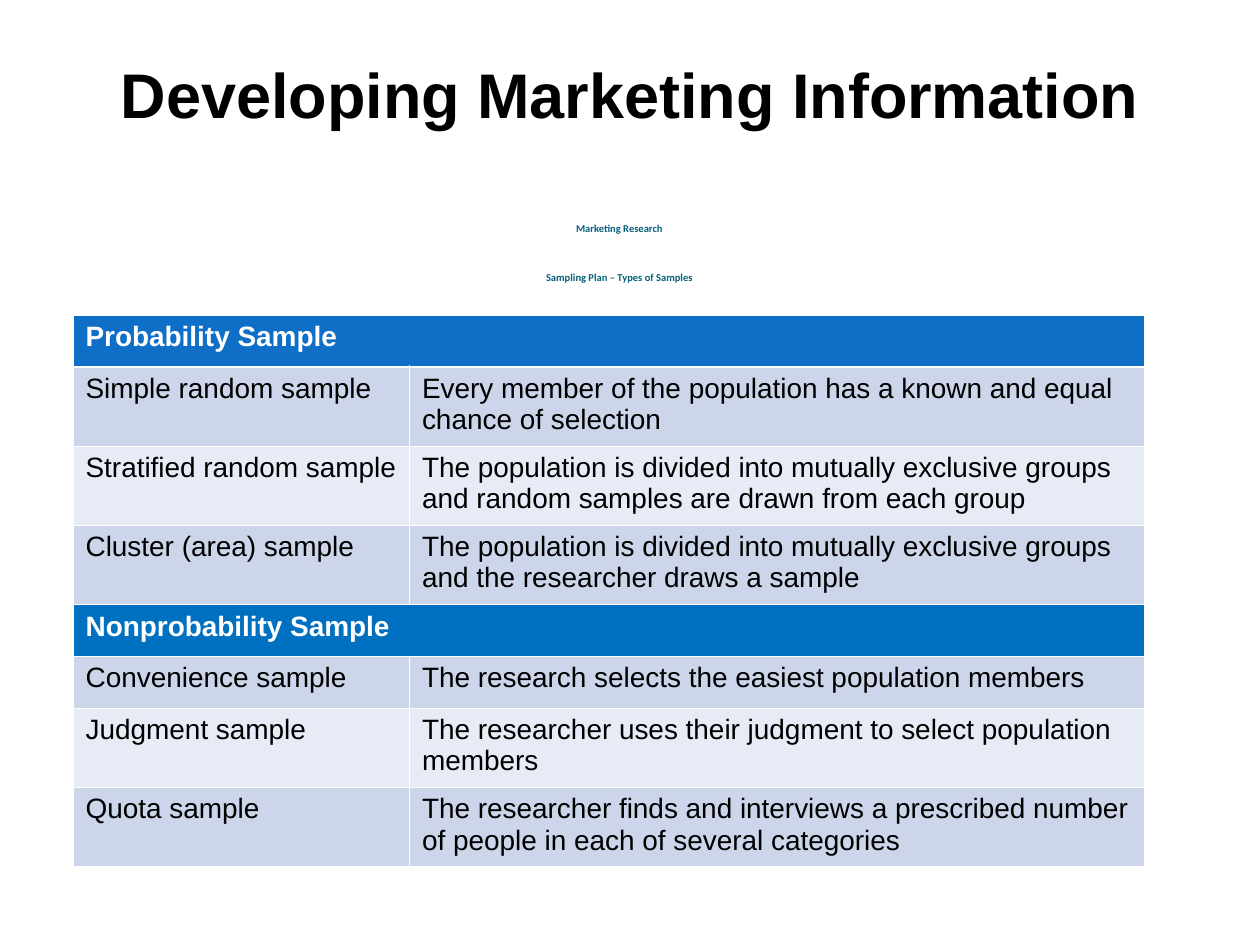
from dataclasses import dataclass

from lxml.etree import SubElement
from pptx import Presentation
from pptx.dml.color import RGBColor as Rgb
from pptx.enum.text import MSO_ANCHOR as Anchor, MSO_AUTO_SIZE as AutoSize, PP_ALIGN as Align
from pptx.oxml.ns import qn
from pptx.util import Inches, Pt

COLORS = {
    "title": "000000",
    "subtitle": "04617B",
    "probability": "0F6FC6",
    "nonprobability": "0070C0",
    "band_dark": "CCD5EA",
    "band_light": "E7EBF5",
    "text": "000000",
    "white": "FFFFFF",
}
COLUMN_WIDTHS = (2.67, 5.83)
HEADER_HEIGHT = 0.41
LINE_HEIGHT = 0.22
THIN, THICK = 0.45, 1.47


@dataclass(frozen=True)
class Sample:
    name: str
    description: str
    lines: int = 2


@dataclass(frozen=True)
class Group:
    heading: str
    color: str
    samples: tuple[Sample, ...]


GROUPS = (
    Group("Probability Sample", "probability", (
        Sample("Simple random sample",
               "Every member of the population has a known and equal chance of selection"),
        Sample("Stratified random sample",
               "The population is divided into mutually exclusive groups "
               "and random samples are drawn from each group"),
        Sample("Cluster (area) sample",
               "The population is divided into mutually exclusive groups "
               "and the researcher draws a sample"),
    )),
    Group("Nonprobability Sample", "nonprobability", (
        Sample("Convenience sample", "The research selects the easiest population members", 1),
        Sample("Judgment sample",
               "The researcher uses their judgment to select population members"),
        Sample("Quota sample",
               "The researcher finds and interviews a prescribed number "
               "of people in each of several categories"),
    )),
)


def format_runs(paragraph, size: float, font_name: str, color: str, bold: bool) -> None:
    """Apply one text style to every run of a paragraph."""
    for run in paragraph.runs:
        run.font.size = Pt(size)
        run.font.name = font_name
        run.font.bold = bold
        run.font.color.rgb = Rgb.from_string(COLORS[color])


def place(shape, left: float, top: float, width: float, height: float) -> None:
    """Move and size a placeholder and turn off its automatic fitting."""
    shape.left, shape.top = Inches(left), Inches(top)
    shape.width, shape.height = Inches(width), Inches(height)
    shape.text_frame.word_wrap = True
    shape.text_frame.auto_size = AutoSize.NONE


def fill_title(shape) -> None:
    """Write the slide title."""
    place(shape, 0.75, 0.25, 8.5, 1.08)
    shape.text_frame.text = "Developing Marketing Information"
    shape.text_frame.vertical_anchor = Anchor.MIDDLE
    paragraph = shape.text_frame.paragraphs[0]
    paragraph.alignment = Align.CENTER
    paragraph.line_spacing = Pt(36)
    format_runs(paragraph, 36, "Arial", "title", True)


def fill_subtitle(shape) -> None:
    """Write the two centred lines below the title."""
    place(shape, 1, 1.42, 7.83, 0.58)
    shape.text_frame.text = "Marketing Research\nSampling Plan – Types of Samples"
    for paragraph in shape.text_frame.paragraphs:
        paragraph.alignment = Align.CENTER
        paragraph.line_spacing = Pt(28)
        paragraph.space_before = Pt(0)
        properties = paragraph._p.get_or_add_pPr()
        properties.set("marL", str(Inches(0.38)))
        properties.set("indent", str(Inches(-0.38)))
        SubElement(properties, qn("a:buNone"))
        format_runs(paragraph, 6, "Calibri", "subtitle", True)


def style_cell(cell, fill: str, top: float = THIN, bottom: float = THIN) -> None:
    """Give a cell white borders and a solid fill."""
    properties = cell._tc.get_or_add_tcPr()
    for side, width in (("L", THIN), ("R", THIN), ("T", top), ("B", bottom)):
        line = SubElement(properties, qn(f"a:ln{side}"), w=str(Pt(width)))
        SubElement(SubElement(line, qn("a:solidFill")), qn("a:srgbClr"), val=COLORS["white"])
    cell.fill.solid()
    cell.fill.fore_color.rgb = Rgb.from_string(COLORS[fill])


def write_cell(cell, text: str, color: str, bold: bool) -> None:
    """Write the text of a table cell."""
    cell.text_frame.text = text
    format_runs(cell.text_frame.paragraphs[0], 16, "Arial", color, bold)


def add_sample_table(slide, groups: tuple[Group, ...]) -> None:
    """Draw each group as a merged heading row followed by banded sample rows."""
    row_count = sum(1 + len(group.samples) for group in groups)
    table = slide.shapes.add_table(
        row_count, len(COLUMN_WIDTHS), Inches(0.58), Inches(2.5),
        Inches(sum(COLUMN_WIDTHS)), Inches(4.39)).table
    table.first_row = table.horz_banding = False
    for column, width in zip(table.columns, COLUMN_WIDTHS):
        column.width = Inches(width)

    row = 0
    for group in groups:
        table.rows[row].height = Inches(HEADER_HEIGHT)
        heading = table.cell(row, 0)
        heading.merge(table.cell(row, 1))
        write_cell(heading, group.heading, "white", True)
        for column in range(2):
            style_cell(table.cell(row, column), group.color, bottom=THIN if row else THICK)
        row += 1
        for index, sample in enumerate(group.samples):
            table.rows[row].height = Inches(HEADER_HEIGHT + LINE_HEIGHT * (sample.lines - 1))
            band = "band_light" if index % 2 else "band_dark"
            for column, text in enumerate((sample.name, sample.description)):
                cell = table.cell(row, column)
                write_cell(cell, text, "text", False)
                style_cell(cell, band, top=THICK if row == 1 else THIN)
            row += 1


def main() -> None:
    """Build and save the slide."""
    presentation = Presentation()
    presentation.slide_width, presentation.slide_height = Inches(10), Inches(7.5)
    slide = presentation.slides.add_slide(presentation.slide_layouts[1])
    fill_title(slide.shapes.title)
    fill_subtitle(slide.placeholders[1])
    add_sample_table(slide, GROUPS)
    presentation.save("out.pptx")


if __name__ == "__main__":
    main()
